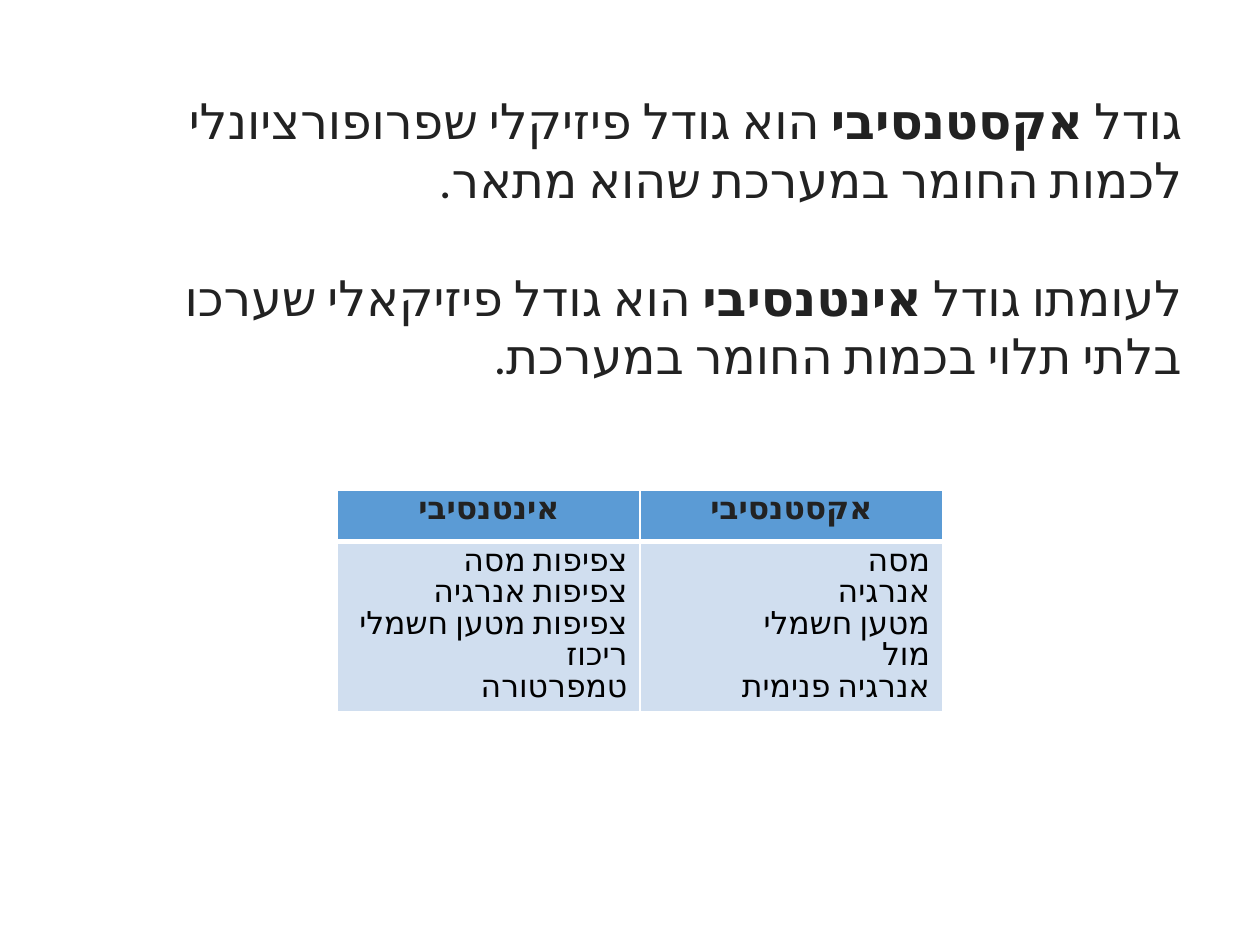
from dataclasses import dataclass

from lxml.etree import SubElement
from pptx import Presentation
from pptx.dml.color import RGBColor
from pptx.enum.text import PP_ALIGN
from pptx.oxml import parse_xml
from pptx.oxml.ns import nsdecls, qn
from pptx.util import Inches, Pt


@dataclass(frozen=True)
class Theme:
    ink: str = "222222"
    black: str = "000000"
    header_fill: str = "5B9BD5"
    body_fill: str = "D0DEEF"
    border: str = "FFFFFF"
    text_font: str = "Calibri"
    table_font: str = "Arial"
    hebrew_font: str = "Calibri"
    text_size: float = 28
    table_size: float = 18
    paragraph_gap: float = 33.6
    thin: float = 1
    thick: float = 3


@dataclass(frozen=True)
class Definition:
    before: str
    term: str
    after: str


@dataclass(frozen=True)
class Column:
    heading: str
    examples: tuple[str, ...]


THEME = Theme()

DEFINITIONS = (
    Definition("גודל ", "אקסטנסיבי",
               " הוא גודל פיזיקלי שפרופורציונלי לכמות החומר במערכת שהוא מתאר."),
    Definition("לעומתו גודל ", "אינטנסיבי",
               " הוא גודל פיזיקאלי שערכו בלתי תלוי בכמות החומר במערכת."),
)

COLUMNS = (
    Column("אינטנסיבי", ("צפיפות מסה", "צפיפות אנרגיה", "צפיפות מטען חשמלי",
                         "ריכוז", "טמפרטורה")),
    Column("אקסטנסיבי", ("מסה", "אנרגיה", "מטען חשמלי", "מול", "אנרגיה פנימית")),
)


def set_rtl(p, align: PP_ALIGN) -> None:
    p.alignment = align
    p._p.get_or_add_pPr().set("rtl", "1")


def format_run(r, font: str, size: float, color: str, bold: bool) -> None:
    r.font.name = font
    r.font.size = Pt(size)
    r.font.bold = bold
    r.font.color.rgb = RGBColor.from_string(color)
    rPr = r._r.get_or_add_rPr()
    rPr.set("lang", "he-IL")
    SubElement(rPr, qn("a:cs"), typeface=THEME.hebrew_font)


def add_definitions(s, definitions: tuple[Definition, ...]) -> None:
    box = s.shapes.add_textbox(Inches(0.68), Inches(0.67), Inches(8.8), Inches(2.46))
    tf = box.text_frame
    tf.word_wrap = True
    for i, item in enumerate(definitions):
        p = tf.add_paragraph() if i else tf.paragraphs[0]
        set_rtl(p, PP_ALIGN.RIGHT)
        if i:
            p.space_before = Pt(THEME.paragraph_gap)
        for text in (item.before, item.term, item.after):
            r = p.add_run()
            r.text = text
            format_run(r, THEME.text_font, THEME.text_size, THEME.ink, text == item.term)


def set_borders(cell, top: float, bottom: float) -> None:
    """Draw the four cell edges; the sides are always thin."""
    widths = {"lnL": THEME.thin, "lnR": THEME.thin, "lnT": top, "lnB": bottom}
    tcPr = cell._tc.get_or_add_tcPr()
    for i, (tag, width) in enumerate(widths.items()):
        tcPr.insert(i, parse_xml(
            f'<a:{tag} {nsdecls("a")} w="{Pt(width)}"><a:solidFill>'
            f'<a:srgbClr val="{THEME.border}"/></a:solidFill></a:{tag}>'))


def fill_cell(cell, lines: tuple[str, ...], header: bool) -> None:
    cell.fill.solid()
    cell.fill.fore_color.rgb = RGBColor.from_string(
        THEME.header_fill if header else THEME.body_fill)
    if header:
        set_borders(cell, THEME.thin, THEME.thick)
    else:
        set_borders(cell, THEME.thick, THEME.thin)
    cell.text_frame.text = "\n".join(lines)
    for p in cell.text_frame.paragraphs:
        set_rtl(p, PP_ALIGN.CENTER if header else PP_ALIGN.RIGHT)
        p.line_spacing = Pt(THEME.table_size)
        format_run(p.runs[0], THEME.table_font, THEME.table_size,
                   THEME.ink if header else THEME.black, header)


def add_examples(s, columns: tuple[Column, ...]) -> None:
    heights = (Inches(0.41), Inches(1.35))
    width = Inches(2.4)
    table = s.shapes.add_table(len(heights), len(columns), Inches(2.68), Inches(3.89),
                               width * len(columns), sum(heights)).table
    for row, height in zip(table.rows, heights):
        row.height = height
    for i, column in enumerate(columns):
        table.columns[i].width = width
        fill_cell(table.cell(0, i), (column.heading,), header=True)
        fill_cell(table.cell(1, i), column.examples, header=False)


def main() -> None:
    prs = Presentation()
    prs.slide_width, prs.slide_height = Inches(10), Inches(7.5)
    s = prs.slides.add_slide(prs.slide_layouts[6])
    add_definitions(s, DEFINITIONS)
    add_examples(s, COLUMNS)
    prs.save("out.pptx")


if __name__ == "__main__":
    main()
